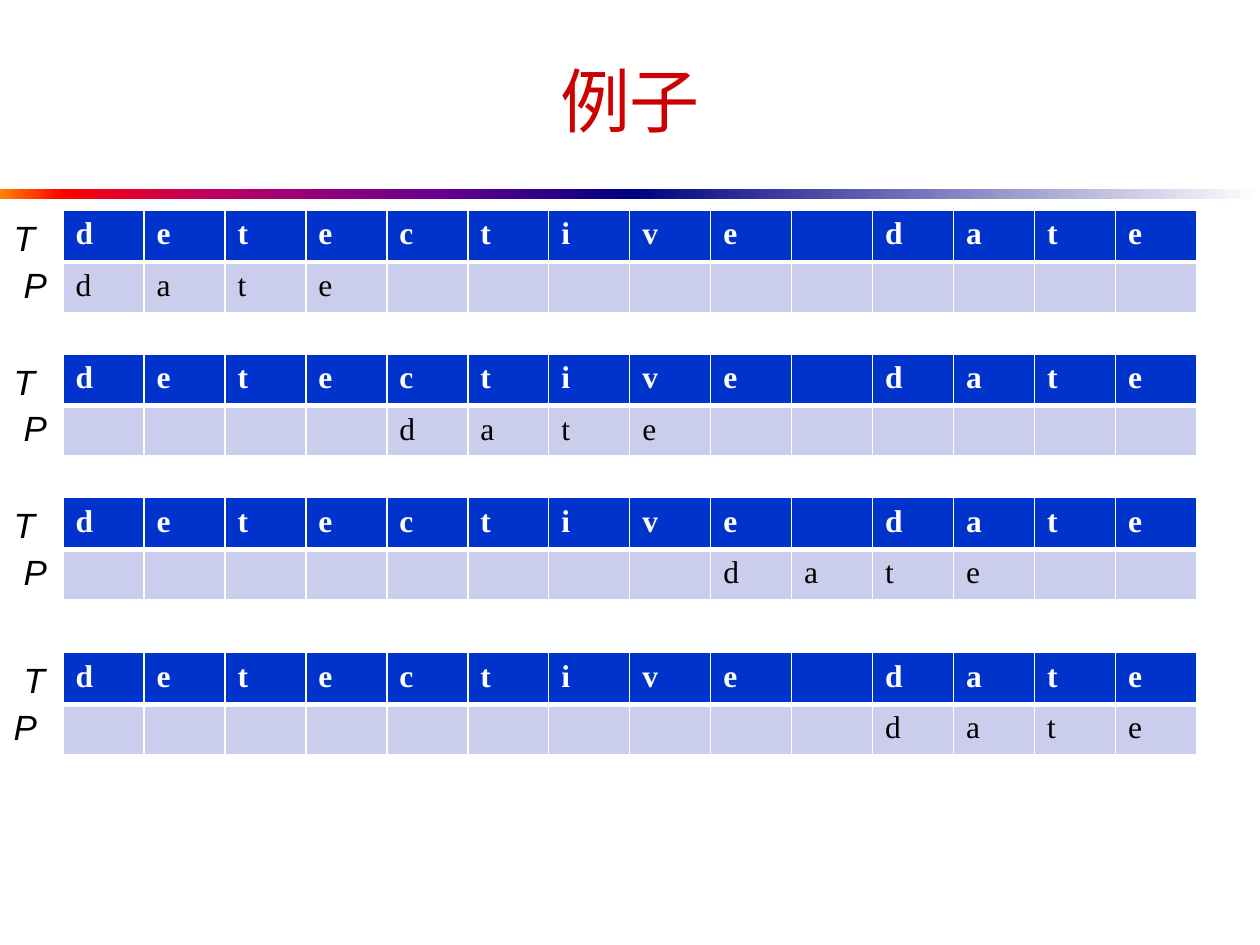
from dataclasses import dataclass

from lxml.etree import SubElement
from pptx import Presentation
from pptx.dml.color import RGBColor as Rgb
from pptx.enum.shapes import MSO_SHAPE as Shape
from pptx.enum.text import MSO_ANCHOR as Anchor, PP_ALIGN as Align
from pptx.oxml.ns import qn
from pptx.util import Inches, Pt

TITLE = "例子"
TEXT = "detective date"
PATTERN = "date"
# Each search step: pattern offset, table top, left of the T label, left of the P label
STEPS = [
    (0, 1.67, 0.01, 0.09),
    (4, 2.81, 0.01, 0.09),
    (8, 3.95, 0.01, 0.09),
    (10, 5.18, 0.09, 0.01),
]
# Each half of the rule: left edge, gradient stops as (percent, colour)
RULE_HALVES = [
    (0, [(0, "FF8200"), (10, "FF0000"), (35, "BA0066"), (70, "66008F"), (100, "000082")]),
    (5, [(0, "000082"), (100, "FFFFFF")]),
]
TABLE_LEFT, TABLE_WIDTH = 0.5, 9
ROW_HEIGHTS = (0.41, 0.4)
PATTERN_LABEL_DROP = 0.37


@dataclass(frozen=True)
class Theme:
    title: str = "CC0000"
    ink: str = "000000"
    white: str = "FFFFFF"
    text_row: str = "0033CC"
    pattern_row: str = "CBCDEC"
    sans: str = "Arial"
    serif: str = "Times New Roman"
    title_size: int = 40
    label_size: int = 20
    cell_size: int = 18
    thin: int = 1
    thick: int = 3


THEME = Theme()


def style_runs(frame, font_name, size, color, bold=False, italic=False):
    for para in frame.paragraphs:
        for span in para.runs:
            font = span.font
            font.name, font.size = font_name, Pt(size)
            font.bold, font.italic = bold, italic
            font.color.rgb = Rgb.from_string(color)


def add_text(page, text, left, top, width, height):
    box = page.shapes.add_textbox(Inches(left), Inches(top), Inches(width), Inches(height))
    frame = box.text_frame
    frame.word_wrap = True
    frame.text = text
    return frame


def add_title(page):
    frame = add_text(page, TITLE, 0.5, 0.25, 9, 1.08)
    frame.vertical_anchor = Anchor.MIDDLE
    frame.paragraphs[0].alignment = Align.CENTER
    style_runs(frame, THEME.sans, THEME.title_size, THEME.title)


def add_rule_half(page, left, stops):
    bar = page.shapes.add_shape(Shape.RECTANGLE, Inches(left), Inches(1.5), Inches(5), Inches(0.08))
    bar.shadow.inherit = False
    bar.line.fill.background()
    bar.fill.gradient()
    bar.fill.gradient_angle = 0
    stop_list = next(bar.element.iter(qn("a:gsLst")))
    stop_list.clear()
    for percent, color in stops:
        stop = SubElement(stop_list, qn("a:gs"), pos=str(percent * 1000))
        SubElement(stop, qn("a:srgbClr"), val=color)


def set_borders(cell, top, bottom):
    """Draw white borders; must run before the cell gets its fill."""
    properties = cell._tc.get_or_add_tcPr()
    widths = {"lnL": THEME.thin, "lnR": THEME.thin, "lnT": top, "lnB": bottom}
    for side, width in widths.items():
        line = SubElement(properties, qn(f"a:{side}"), w=str(Pt(width)))
        fill = SubElement(line, qn("a:solidFill"))
        SubElement(fill, qn("a:srgbClr"), val=THEME.white)


def add_match_table(page, offset, top):
    letters = [TEXT, (" " * offset + PATTERN).ljust(len(TEXT))]
    # Fill, ink, bold, top border, bottom border
    row_styles = [
        (THEME.text_row, THEME.white, True, THEME.thin, THEME.thick),
        (THEME.pattern_row, THEME.ink, False, THEME.thick, THEME.thin),
    ]
    table = page.shapes.add_table(
        len(letters), len(TEXT), Inches(TABLE_LEFT), Inches(top),
        Inches(TABLE_WIDTH), Inches(sum(ROW_HEIGHTS)),
    ).table
    table.horz_banding = False
    for column in table.columns:
        column.width = Inches(TABLE_WIDTH / len(TEXT))
    for row, height, line, row_style in zip(table.rows, ROW_HEIGHTS, letters, row_styles):
        row.height = Inches(height)
        fill, ink, bold, border_top, border_bottom = row_style
        for cell, letter in zip(row.cells, line):
            set_borders(cell, border_top, border_bottom)
            cell.fill.solid()
            cell.fill.fore_color.rgb = Rgb.from_string(fill)
            cell.text = letter.strip()
            style_runs(cell.text_frame, THEME.serif, THEME.cell_size, ink, bold)


def add_label(page, text, left, top):
    frame = add_text(page, text, left, top, 0.73, 0.44)
    style_runs(frame, THEME.sans, THEME.label_size, THEME.ink, italic=True)


def main():
    deck = Presentation()
    deck.slide_width, deck.slide_height = Inches(10), Inches(7.5)
    page = deck.slides.add_slide(deck.slide_layouts[6])
    for left, stops in RULE_HALVES:
        add_rule_half(page, left, stops)
    add_title(page)
    for offset, top, text_left, pattern_left in STEPS:
        add_match_table(page, offset, top)
        add_label(page, "T", text_left, top)
        add_label(page, "P", pattern_left, top + PATTERN_LABEL_DROP)
    deck.save("out.pptx")


if __name__ == "__main__":
    main()
